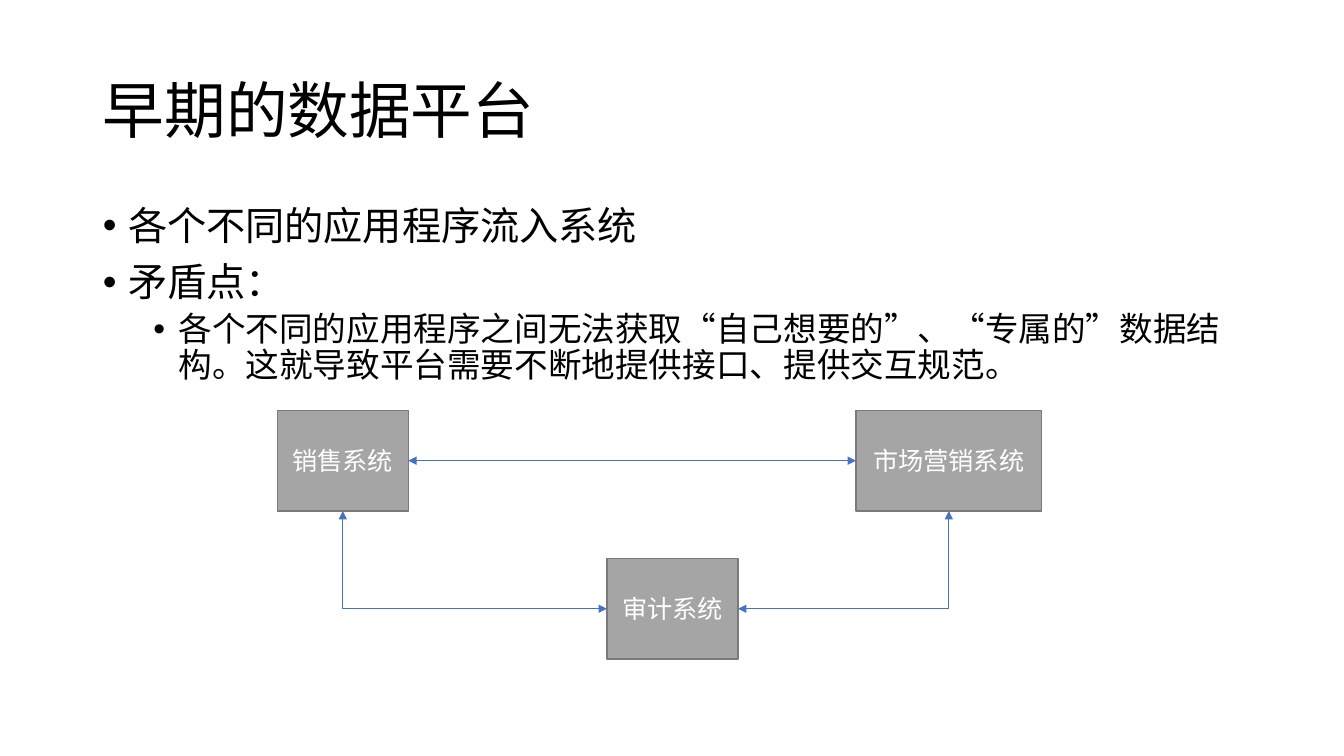
from lxml.etree import SubElement
from pptx import Presentation
from pptx.dml.color import RGBColor
from pptx.enum.lang import MSO_LANGUAGE_ID
from pptx.enum.shapes import MSO_CONNECTOR, MSO_SHAPE
from pptx.enum.text import MSO_ANCHOR, MSO_AUTO_SIZE, PP_ALIGN
from pptx.oxml.ns import qn
from pptx.util import Pt

PX = 9144  # EMU per px, 100 px to the inch
FONT = "Noto Sans CJK SC"
BLACK = RGBColor(0x00, 0x00, 0x00)
WHITE = RGBColor(0xFF, 0xFF, 0xFF)
GRAY = RGBColor(0xA5, 0xA5, 0xA5)
DARK_GRAY = RGBColor(0x7A, 0x7A, 0x7A)
BLUE = RGBColor(0x44, 0x72, 0xC4)

TITLE = "早期的数据平台"
TITLE_BOX = (92, 40, 1150, 145)
BODY_BOX = (92, 200, 1150, 476)
BULLETS = [  # level, text
    (0, "各个不同的应用程序流入系统"),
    (0, "矛盾点："),
    (1, "各个不同的应用程序之间无法获取“自己想要的”、“专属的”数据结构。"
        "这就导致平台需要不断地提供接口、提供交互规范。"),
]
LEVELS = [(28, 10, 25), (24, 5, 75)]  # size in pt, space before in pt, margin in px
HANGING = 25

SYSTEM_HEIGHT = 100
SYSTEMS = {  # name: left, top, width
    "销售系统": (275, 407, 130),
    "市场营销系统": (849, 407, 184),
    "审计系统": (602, 554, 130),
}
LEFT, BOTTOM, RIGHT = 1, 2, 3  # connection sites of a rectangle
LINKS = [  # from, site, to, site, preset
    ("销售系统", RIGHT, "市场营销系统", LEFT, "bentConnector3"),
    ("审计系统", LEFT, "销售系统", BOTTOM, "bentConnector2"),
    ("审计系统", RIGHT, "市场营销系统", BOTTOM, "bentConnector2"),
]


def emu(lengths):
    return [length * PX for length in lengths]


def place(shape, box):
    shape.left, shape.top, shape.width, shape.height = emu(box)


def add_text(paragraph, text, size, color):
    run = paragraph.add_run()
    run.text = text
    font = run.font
    font.size = Pt(size)
    font.color.rgb = color
    font.name = FONT
    font.language_id = MSO_LANGUAGE_ID.SIMPLIFIED_CHINESE
    SubElement(run._r.get_or_add_rPr(), qn("a:ea"), typeface=FONT)


def fill_title(title):
    place(title, TITLE_BOX)
    frame = title.text_frame
    frame.auto_size = MSO_AUTO_SIZE.NONE
    frame.vertical_anchor = MSO_ANCHOR.MIDDLE
    paragraph = frame.paragraphs[0]
    paragraph.alignment = PP_ALIGN.LEFT
    paragraph.line_spacing = 0.9
    add_text(paragraph, TITLE, 44, BLACK)


def fill_body(body):
    place(body, BODY_BOX)
    frame = body.text_frame
    frame.auto_size = MSO_AUTO_SIZE.NONE
    for index, (level, text) in enumerate(BULLETS):
        size, space_before, margin = LEVELS[level]
        paragraph = frame.add_paragraph() if index else frame.paragraphs[0]
        paragraph.level = level
        paragraph.line_spacing = 0.9
        paragraph.space_before = Pt(space_before)
        properties = paragraph._p.get_or_add_pPr()
        properties.set("marL", str(margin * PX))
        properties.set("indent", str(-HANGING * PX))
        SubElement(properties, qn("a:buFont"), typeface="Arial")
        SubElement(properties, qn("a:buChar"), char="•")
        add_text(paragraph, text, size, BLACK)


def add_system(slide, name, left, top, width):
    box = emu((left, top, width, SYSTEM_HEIGHT))
    shape = slide.shapes.add_shape(MSO_SHAPE.RECTANGLE, *box)
    shape.shadow.inherit = False
    shape.fill.solid()
    shape.fill.fore_color.rgb = GRAY
    shape.line.color.rgb = DARK_GRAY
    shape.line.width = Pt(1)
    frame = shape.text_frame
    frame.vertical_anchor = MSO_ANCHOR.MIDDLE
    paragraph = frame.paragraphs[0]
    paragraph.alignment = PP_ALIGN.CENTER
    add_text(paragraph, name, 18, WHITE)
    return shape


def add_link(slide, start, start_site, end, end_site, preset):
    """Join two systems with a double-headed elbow arrow."""
    connector = slide.shapes.add_connector(MSO_CONNECTOR.ELBOW, 0, 0, 0, 0)
    connector.begin_connect(start, start_site)
    connector.end_connect(end, end_site)
    connector.line.color.rgb = BLUE
    connector.line.width = Pt(0.5)
    properties = connector._element.spPr
    properties.find(qn("a:prstGeom")).set("prst", preset)
    line = properties.find(qn("a:ln"))
    for arrow_end in ("a:headEnd", "a:tailEnd"):
        SubElement(line, qn(arrow_end), type="triangle")
    SubElement(properties, qn("a:effectLst"))


def main():
    presentation = Presentation()
    presentation.slide_width, presentation.slide_height = emu((1333, 750))
    slide = presentation.slides.add_slide(presentation.slide_layouts[1])
    fill_title(slide.shapes.title)
    fill_body(slide.placeholders[1])
    systems = {name: add_system(slide, name, *box) for name, box in SYSTEMS.items()}
    for start, start_site, end, end_site, preset in LINKS:
        add_link(slide, systems[start], start_site, systems[end], end_site, preset)
    presentation.save("out.pptx")


if __name__ == "__main__":
    main()
